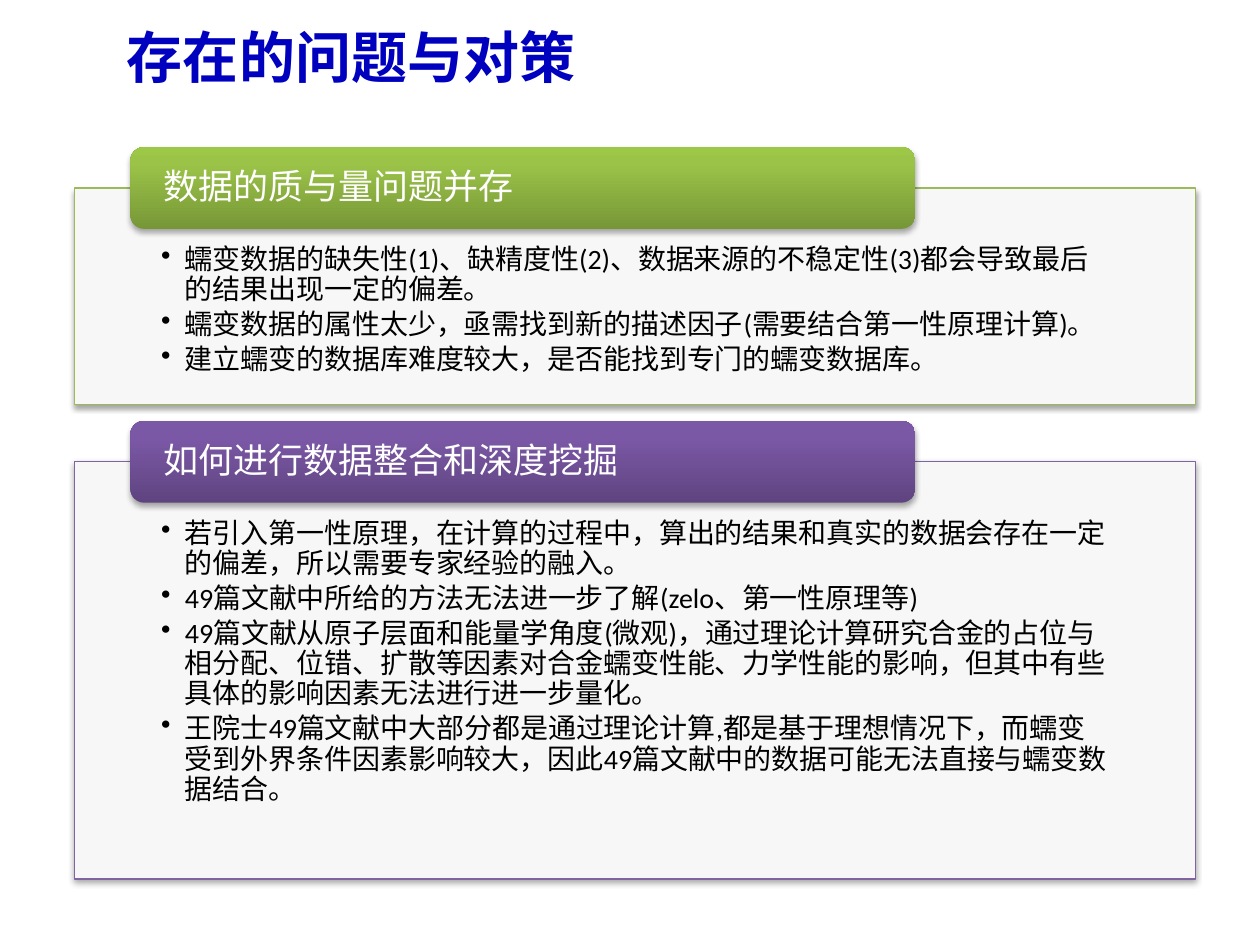
from dataclasses import dataclass

from lxml.etree import SubElement
from pptx import Presentation
from pptx.dml.color import RGBColor
from pptx.enum.shapes import MSO_SHAPE as Preset
from pptx.enum.text import MSO_ANCHOR as Anchor, PP_ALIGN as Align
from pptx.oxml.ns import qn
from pptx.util import Cm, Pt


@dataclass(frozen=True)
class Theme:
    title_color: str = "0000BF"
    body_color: str = "000000"
    header_color: str = "FFFFFF"
    panel_fill: str = "F7F7F7"
    # Accents: panel border, then the header gradient from bottom to top
    green: tuple = ("9BBB59", ("779737", "9BC348", "9DC746"))
    purple: tuple = ("8064A2", ("5F4480", "7B58A6", "7C57A8"))
    gradient_stops: tuple = (0, 80, 100)
    latin_font: str = "Calibri"
    cjk_font: str = "Noto Sans CJK SC"
    title_size: int = 32
    header_size: int = 20
    body_size: int = 16


THEME = Theme()

# Accent, box in cm (left, top, width, height), heading, bullet items
SECTIONS = [
    (THEME.green, (1.5, 3.79, 22.6, 4.37), "数据的质与量问题并存", [
        "蠕变数据的缺失性(1)、缺精度性(2)、数据来源的不稳定性(3)都会导致最后的结果出现一定的偏差。",
        "蠕变数据的属性太少，亟需找到新的描述因子(需要结合第一性原理计算)。",
        "建立蠕变的数据库难度较大，是否能找到专门的蠕变数据库。",
    ]),
    (THEME.purple, (1.5, 9.31, 22.6, 8.41), "如何进行数据整合和深度挖掘", [
        "若引入第一性原理，在计算的过程中，算出的结果和真实的数据会存在一定的偏差，所以需要专家经验的融入。",
        "49篇文献中所给的方法无法进一步了解(zelo、第一性原理等)",
        "49篇文献从原子层面和能量学角度(微观)，通过理论计算研究合金的占位与相分配、位错、扩散等因素对合金蠕变性能、"
        "力学性能的影响，但其中有些具体的影响因素无法进行进一步量化。",
        "王院士49篇文献中大部分都是通过理论计算,都是基于理想情况下，而蠕变受到外界条件因素影响较大，"
        "因此49篇文献中的数据可能无法直接与蠕变数据结合。",
    ]),
]


def format_text(paragraph, size, color, latin, bold=False):
    paragraph.alignment = Align.LEFT
    for run in paragraph.runs:
        font = run.font
        font.size, font.bold, font.name = Pt(size), bold, latin
        font.color.rgb = RGBColor.from_string(color)
        SubElement(run._r.get_or_add_rPr(), qn("a:ea"), typeface=THEME.cjk_font)


def set_frame(shape, anchor, left, top, right, bottom):
    frame = shape.text_frame
    frame.word_wrap = True
    frame.vertical_anchor = anchor
    frame.margin_left, frame.margin_top = Cm(left), Cm(top)
    frame.margin_right, frame.margin_bottom = Cm(right), Cm(bottom)
    return frame


def add_bullet(paragraph, indent):
    properties = paragraph._p.get_or_add_pPr()
    properties.set("marL", str(indent))
    properties.set("indent", str(-indent))
    SubElement(properties, qn("a:buChar"), char="•")


def add_shadow(shape):
    shape.shadow.inherit = False
    effects = shape._element.spPr.find(qn("a:effectLst"))
    shadow = SubElement(effects, qn("a:outerShdw"), blurRad="40000", dist="23000",
                        dir="5400000", rotWithShape="0")
    color = SubElement(shadow, qn("a:srgbClr"), val="000000")
    SubElement(color, qn("a:alpha"), val="35000")


def fill_gradient(shape, colors):
    shape.fill.gradient()
    shape.fill.gradient_angle = 90
    stops = shape._element.spPr.find(qn("a:gradFill")).find(qn("a:gsLst"))
    for stop in list(stops):
        stops.remove(stop)
    for position, color in zip(THEME.gradient_stops, colors):
        stop = SubElement(stops, qn("a:gs"), pos=str(position * 1000))
        SubElement(stop, qn("a:srgbClr"), val=color)


def add_title(slide, text, left, top, width, height):
    title = slide.shapes.title
    title.left, title.top, title.width, title.height = map(Cm, (left, top, width, height))
    frame = set_frame(title, Anchor.MIDDLE, 0.25, 0.13, 0.25, 0.13)
    frame.text = text
    format_text(frame.paragraphs[0], THEME.title_size, THEME.title_color, THEME.cjk_font, True)


def add_panel(slide, items, border, left, top, width, height):
    panel = slide.shapes.add_shape(Preset.RECTANGLE, *map(Cm, (left, top, width, height)))
    panel.fill.solid()
    panel.fill.fore_color.rgb = RGBColor.from_string(THEME.panel_fill)
    panel.line.color.rgb = RGBColor.from_string(border)
    panel.line.width = Pt(0.75)
    add_shadow(panel)

    frame = set_frame(panel, Anchor.TOP, 1.75, 1.16, 1.75, 0.3)
    for index, item in enumerate(items):
        paragraph = frame.add_paragraph() if index else frame.paragraphs[0]
        paragraph.text = item
        paragraph.line_spacing = 0.9
        paragraph.space_after = Pt(2.7)
        add_bullet(paragraph, Cm(0.48))
        format_text(paragraph, THEME.body_size, THEME.body_color, THEME.latin_font)


def add_header(slide, text, colors, left, top, width, height):
    header = slide.shapes.add_shape(Preset.ROUNDED_RECTANGLE, *map(Cm, (left, top, width, height)))
    fill_gradient(header, colors)
    header.line.fill.background()
    add_shadow(header)

    frame = set_frame(header, Anchor.MIDDLE, 0.58, 0, 0.58, 0)
    frame.text = text
    paragraph = frame.paragraphs[0]
    paragraph.line_spacing = 0.9
    format_text(paragraph, THEME.header_size, THEME.header_color, THEME.latin_font)


def add_section(slide, accent, box, heading, items):
    """A panel whose header bar straddles its top edge."""
    border, gradient = accent
    left, top, width, height = box
    header_height = 1.65
    add_panel(slide, items, border, left, top, width, height)
    add_header(slide, heading, gradient, left + width * 0.05, top - header_height / 2,
               width * 0.7, header_height)


def main():
    presentation = Presentation()
    presentation.slide_width, presentation.slide_height = Cm(25.4), Cm(19.05)
    slide = presentation.slides.add_slide(presentation.slide_layouts[5])
    add_title(slide, "存在的问题与对策", 2.31, 0.03, 22.86, 2.21)
    for section in SECTIONS:
        add_section(slide, *section)
    presentation.save("out.pptx")


if __name__ == "__main__":
    main()
